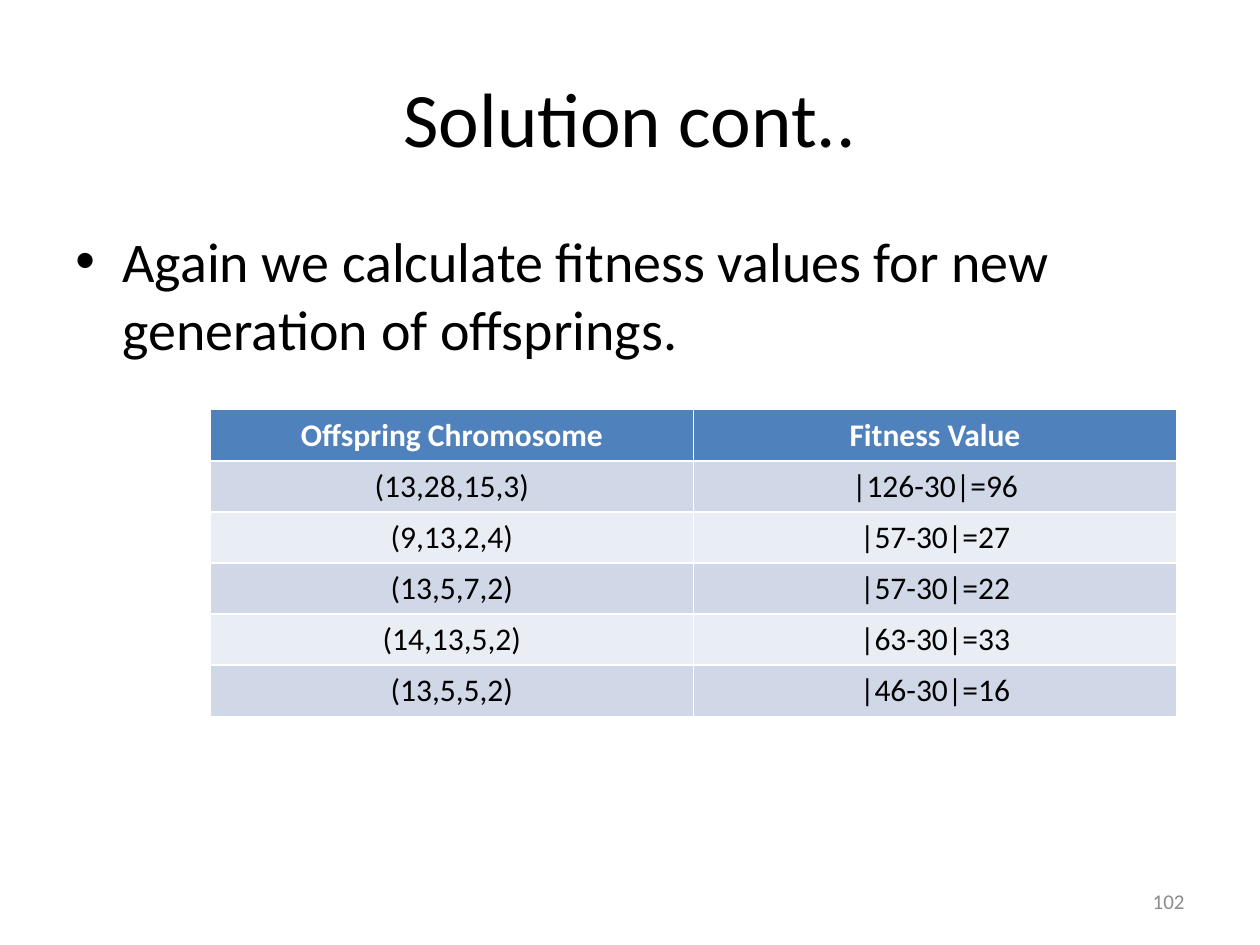
import pptx
import pptx.dml.color
import pptx.enum.text
import pptx.oxml
import pptx.oxml.ns
import pptx.util
from pptx.util import Cm

FONT = "Calibri"
COLORS = {
    "text": "000000",
    "white": "FFFFFF",
    "header": "4F81BD",
    "band_dark": "D0D8E8",
    "band_light": "E9EDF4",
    "number": "8C8C8C",
}
ALIGN = pptx.enum.text.PP_ALIGN
ANCHOR = pptx.enum.text.MSO_ANCHOR
ROWS = [
    ("Offspring Chromosome", "Fitness Value"),
    ("(13,28,15,3)", "|126-30|=96"),
    ("(9,13,2,4)", "|57-30|=27"),
    ("(13,5,7,2)", "|57-30|=22"),
    ("(14,13,5,2)", "|63-30|=33"),
    ("(13,5,5,2)", "|46-30|=16"),
]


def rgb(name):
    return pptx.dml.color.RGBColor.from_string(COLORS[name])


def write(tf, text, size=18, color="text", bold=False, align=ALIGN.LEFT):
    p = tf.paragraphs[0]
    p.alignment = align
    r = p.add_run()
    r.text = text
    r.font.name = FONT
    r.font.size = pptx.util.Pt(size)
    r.font.bold = bold
    r.font.color.rgb = rgb(color)
    return p


def add_box(s, box, anchor):
    tf = s.shapes.add_textbox(*box).text_frame
    tf.word_wrap = True
    tf.vertical_anchor = anchor
    return tf


def add_title(s, box, text):
    write(add_box(s, box, ANCHOR.MIDDLE), text, size=44, align=ALIGN.CENTER)


def add_body(s, box, text):
    p = write(add_box(s, box, ANCHOR.TOP), text, size=32)
    pPr = p._p.get_or_add_pPr()
    indent = Cm(0.95)
    pPr.set("marL", str(indent))
    pPr.set("indent", str(-indent))
    ns = pptx.oxml.ns.nsdecls("a")
    pPr.append(pptx.oxml.parse_xml(f'<a:buFont {ns} typeface="Arial"/>'))
    pPr.append(pptx.oxml.parse_xml(f'<a:buChar {ns} char="•"/>'))


def set_borders(cell, color, width):
    tcPr = cell._tc.get_or_add_tcPr()
    ns = pptx.oxml.ns.nsdecls("a")
    for i, side in enumerate(("lnL", "lnR", "lnT", "lnB")):
        tcPr.insert(i, pptx.oxml.parse_xml(
            f'<a:{side} {ns} w="{pptx.util.Pt(width)}"><a:solidFill>'
            f'<a:srgbClr val="{COLORS[color]}"/></a:solidFill></a:{side}>'))


def add_fitness_table(s, box, rows):
    table = s.shapes.add_table(len(rows), len(rows[0]), *box).table
    for i, row in enumerate(rows):
        header = i == 0
        fill = "header" if header else "band_dark" if i % 2 else "band_light"
        for j, text in enumerate(row):
            cell = table.cell(i, j)
            cell.vertical_anchor = ANCHOR.MIDDLE
            cell.fill.solid()
            cell.fill.fore_color.rgb = rgb(fill)
            set_borders(cell, "white", 1)
            write(cell.text_frame, text, bold=header, align=ALIGN.CENTER,
                  color="white" if header else "text")


def add_page_number(s, box, text):
    write(add_box(s, box, ANCHOR.MIDDLE), text, size=12, color="number",
          align=ALIGN.RIGHT)


def main():
    prs = pptx.Presentation()
    prs.slide_width, prs.slide_height = Cm(25.4), Cm(19.05)
    s = prs.slides.add_slide(prs.slide_layouts[6])
    add_title(s, (Cm(1.27), Cm(0.76), Cm(22.86), Cm(3.18)), "Solution cont..")
    add_body(s, (Cm(1.27), Cm(4.45), Cm(20.75), Cm(13.54)),
             "Again we calculate fitness values for new generation of offsprings.")
    add_fitness_table(s, (Cm(4.24), Cm(8.26), Cm(19.48), Cm(6.18)), ROWS)
    add_page_number(s, (Cm(18.2), Cm(17.66), Cm(5.93), Cm(1.01)), "102")
    prs.save("out.pptx")


if __name__ == "__main__":
    main()
